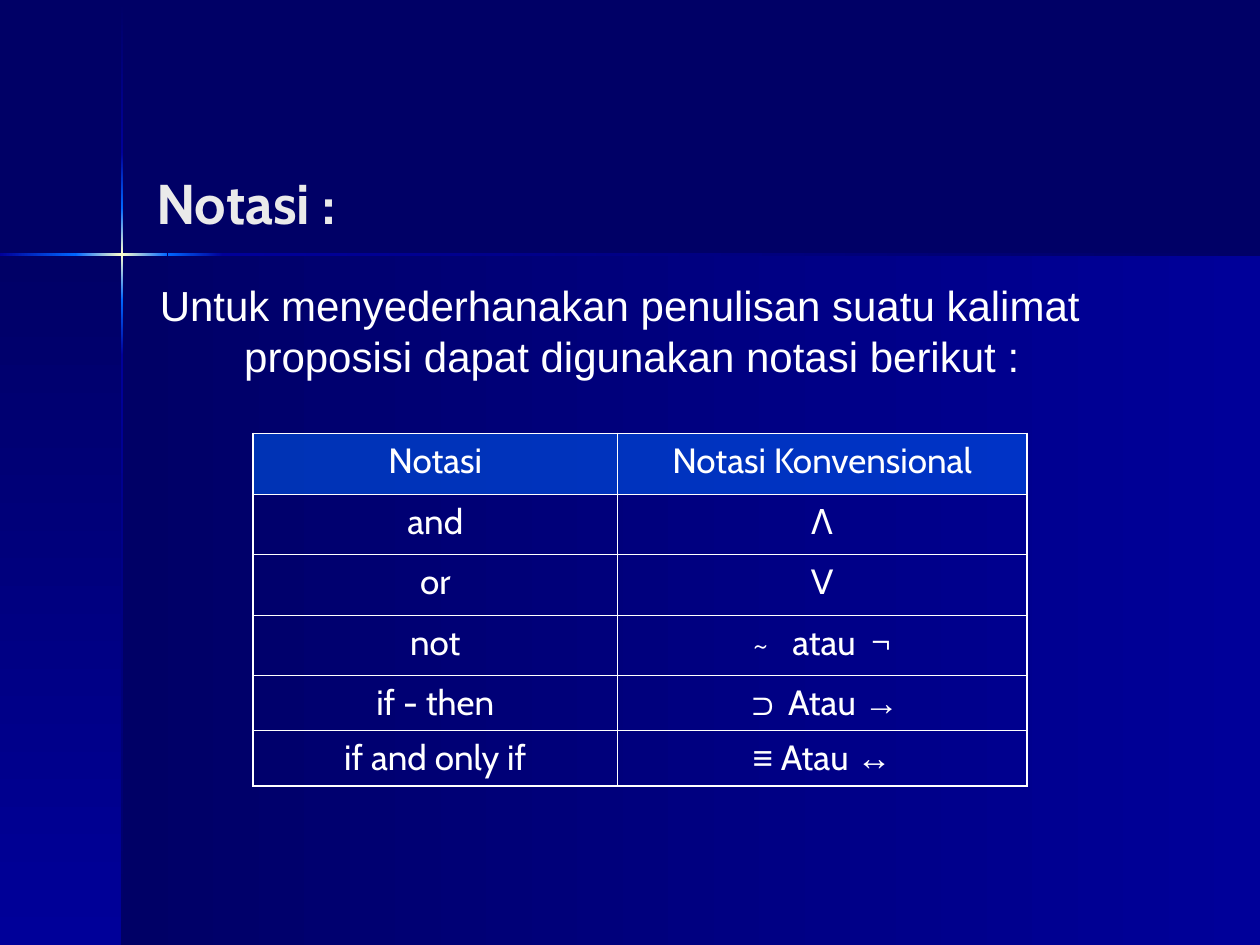
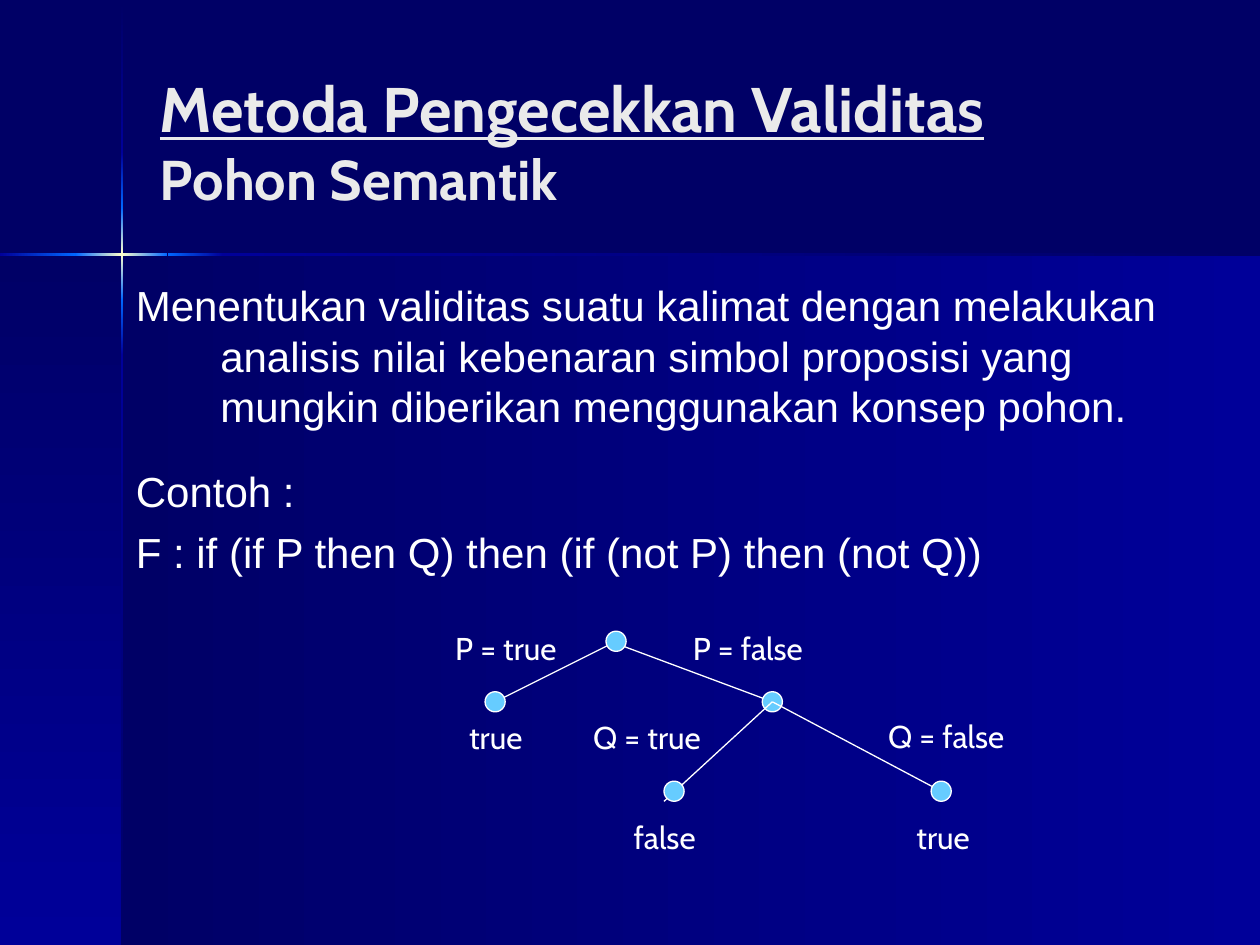
from itertools import pairwise
from lxml import etree
from pptx import Presentation
from pptx.dml.color import RGBColor
from pptx.enum.shapes import MSO_CONNECTOR as LINE, MSO_SHAPE as SHAPE
from pptx.enum.text import MSO_ANCHOR as ANCHOR, PP_ALIGN as ALIGN
from pptx.oxml.ns import qn
from pptx.util import Inches, Pt

# Colours and fonts
NAVY, BLUE, AZURE = "000066", "000099", "0066FF"
CREAM, SKY, WHITE, PALE = "FFFFCC", "66CCFF", "FFFFFF", "EAEAEA"
HEAD, BODY = "Cabin", "Arial"

# The slide is a grid of 100 columns by 75 rows
COLS, ROWS = 100, 75
CROSS = 9.7, 20.2
BEAM = 0.2
GLOW = [(NAVY, BLUE), (BLUE, AZURE), (AZURE, CREAM, AZURE),
        (AZURE, BLUE), (BLUE, NAVY)]


def grid(*cells):
    return [Inches(cell / 10) for cell in cells]


def tint(code):
    return RGBColor.from_string(code)


def sub(parent, tag, **attrs):
    return etree.SubElement(parent, qn(tag), attrs)


# Backdrop
def band(slide, box, stops, angle):
    """Add a rectangle with evenly spaced gradient stops."""
    shape = slide.shapes.add_shape(SHAPE.RECTANGLE, *grid(*box))
    shape.shadow.inherit = False
    shape.line.fill.background()
    shape.fill.gradient()
    grad = shape._element.spPr.find(qn("a:gradFill"))
    grad.find(qn("a:lin")).set("ang", str(angle * 60000))
    scale = grad.find(qn("a:gsLst"))
    scale.clear()
    for i, code in enumerate(stops):
        stop = sub(scale, "a:gs", pos=str(i * 100000 // (len(stops) - 1)))
        sub(stop, "a:srgbClr", val=code)


def page(deck):
    """Add a slide with its two panels and the glowing cross."""
    slide = deck.slides.add_slide(deck.slide_layouts[6])
    slide.background.fill.solid()
    slide.background.fill.fore_color.rgb = tint(NAVY)
    x, y = CROSS
    band(slide, (x, y, COLS - x, ROWS - y), (NAVY, BLUE), 0)
    band(slide, (0, y, x, ROWS - y), (NAVY, BLUE), 90)
    cuts = pairwise([0.1, 12.1, 16.5, 23.8, 28.2, ROWS])
    for (start, end), stops in zip(cuts, GLOW):
        band(slide, (x - BEAM / 2, start, BEAM, end - start), stops, 90)
    cuts = pairwise([0, 6, 13.3, 17.7, COLS])
    for (start, end), stops in zip(cuts, GLOW[1:]):
        band(slide, (start, y - BEAM / 2, end - start, BEAM), stops, 0)
    return slide


# Text
def write(par, text, size, font=HEAD, code=WHITE, bold=False, under=False):
    run = par.add_run()
    run.text = text
    face = run.font
    face.size, face.name, face.bold, face.underline = Pt(size), font, bold, under
    face.color.rgb = tint(code)
    return run


def frame(slide, box, wrap=True):
    text = slide.shapes.add_textbox(*grid(*box)).text_frame
    text.word_wrap = wrap
    return text


def title(slide, box, lines):
    text = frame(slide, box)
    text.vertical_anchor = ANCHOR.MIDDLE
    par = text.paragraphs[0]
    for i, (words, size, under) in enumerate(lines):
        if i:
            par.add_line_break()
        write(par, words, size, code=PALE, bold=True, under=under)


def body(slide, box, items):
    """Add hanging paragraphs, each given as text and space before."""
    text = frame(slide, box)
    hang = Inches(0.67)
    for i, (words, gap) in enumerate(items):
        par = text.add_paragraph() if i else text.paragraphs[0]
        props = par._p.get_or_add_pPr()
        props.set("marL", str(hang))
        props.set("indent", str(-hang))
        if gap:
            par.space_before = Pt(gap)
        write(par, words, 24, BODY)


def label(slide, words, x, y, width):
    par = frame(slide, (x, y, width, 4), wrap=False).paragraphs[0]
    par.alignment = ALIGN.CENTER
    write(par, words, 18)


# Table
def edge(cell, side, width):
    line = sub(cell._tc.get_or_add_tcPr(), f"a:ln{side}", w=str(Pt(width)))
    sub(sub(line, "a:solidFill"), "a:srgbClr", val=WHITE)


def table(slide, box, wide, high, rows):
    """Each cell is a list of runs: text, font, extra letter spacing."""
    shape = slide.shapes.add_table(len(rows), len(wide), *grid(*box))
    sheet = shape.table
    sheet.first_row = sheet.horz_banding = False
    for col, width in zip(sheet.columns, grid(*wide)):
        col.width = width
    for row, height in zip(sheet.rows, grid(*high)):
        row.height = height
    for r, row in enumerate(rows):
        for c, runs in enumerate(row):
            cell = sheet.cell(r, c)
            par = cell.text_frame.paragraphs[0]
            par.alignment = ALIGN.CENTER
            for words, font, space in runs:
                run = write(par, words, 20, font)
                if space:
                    run.font._element.set("spc", str(space * 100))
            outer = {"L": c == 0, "R": c == len(wide) - 1,
                     "T": r == 0, "B": r == len(rows) - 1}
            for side, rim in outer.items():
                edge(cell, side, 1.08 if rim else 0.45)
            if r:
                cell.fill.background()
            else:
                cell.fill.solid()
                cell.fill.fore_color.rgb = tint(AZURE)
                paint = cell._tc.tcPr.find(qn("a:solidFill"))
                sub(paint[0], "a:alpha", val="50000")


# Tree
def node(slide, x, y, size=1.6):
    dot = slide.shapes.add_shape(
        SHAPE.OVAL, *grid(x - size / 2, y - size / 2, size, size))
    dot.shadow.inherit = False
    dot.fill.solid()
    dot.fill.fore_color.rgb = tint(SKY)
    dot.line.color.rgb = tint(WHITE)
    dot.line.width = Pt(0.75)


def fork(slide, top, ends):
    for end in ends:
        limb = slide.shapes.add_connector(LINE.STRAIGHT, *grid(*top, *end))
        limb.line.color.rgb = tint(WHITE)
        limb.line.width = Pt(0.75)
        sub(limb._element.spPr, "a:effectLst")


# Slides
def notation(deck):
    slide = page(deck)
    title(slide, (11.4, 13.9, 82.5, 4.3), [("Notasi :", 32, False)])
    body(slide, (11.7, 21.7, 84, 9.5), [
        ("Untuk menyederhanakan penulisan suatu kalimat proposisi "
         "dapat digunakan notasi berikut :", 0)])

    def plain(words):
        return [(words, HEAD, 0)]

    def either(left, right):
        return [(left, BODY, 0), (" Atau ", HEAD, 0), (right, BODY, 0)]

    negate = [("~", HEAD, 0), (" ", HEAD, 9), ("atau", HEAD, 0),
              (" ", HEAD, 4), ("¬", HEAD, 0)]
    rows = [
        (plain("Notasi"), plain("Notasi Konvensional")),
        (plain("and"), plain("Λ")),
        (plain("or"), plain("V")),
        (plain("not"), negate),
        (plain("if - then"), either("⊃", "→")),
        (plain("if and only if"), either("≡", "↔")),
    ]
    table(slide, (20.1, 34.4, 61.4, 28), (28.9, 32.5),
          [4.8] * 4 + [4.4] * 2, rows)


def tree(deck):
    slide = page(deck)
    title(slide, (11.7, 3.3, 82.5, 15.7), [
        ("Metoda Pengecekkan Validitas", 36, True),
        ("Pohon Semantik", 32, False)])
    body(slide, (9.8, 21.7, 88.2, 25.2), [
        ("Menentukan validitas suatu kalimat dengan melakukan analisis nilai "
         "kebenaran simbol proposisi yang mungkin diberikan menggunakan "
         "konsep pohon.", 0),
        ("Contoh :", 20),
        ("F : if (if P then Q) then (if (not P) then (not Q))", 6)])

    # Branches for P, then for Q
    left, right, last = (39.3, 55.7), (61.3, 55.7), (74.7, 62.8)
    fork(slide, (48.7, 51), (left, right))
    for spot in (left, (48.9, 50.9), right):
        node(slide, *spot)
    fork(slide, right, ((52.7, 63.6), last))
    for spot in ((53.5, 62.8), last):
        node(slide, *spot)

    for words, x, y, width in (
            ("P = true", 34.6, 49.4, 11.1), ("P = false", 53.5, 49.4, 11.7),
            ("true", 35.9, 56.5, 6.9), ("Q = true", 45.6, 56.5, 11.5),
            ("Q = false", 69, 56.4, 12.2), ("false", 49, 64.4, 7.5),
            ("true", 71.4, 64.4, 6.9)):
        label(slide, words, x, y, width)


def main():
    deck = Presentation()
    deck.slide_width, deck.slide_height = grid(COLS, ROWS)
    notation(deck)
    tree(deck)
    deck.save("out.pptx")


if __name__ == "__main__":
    main()
